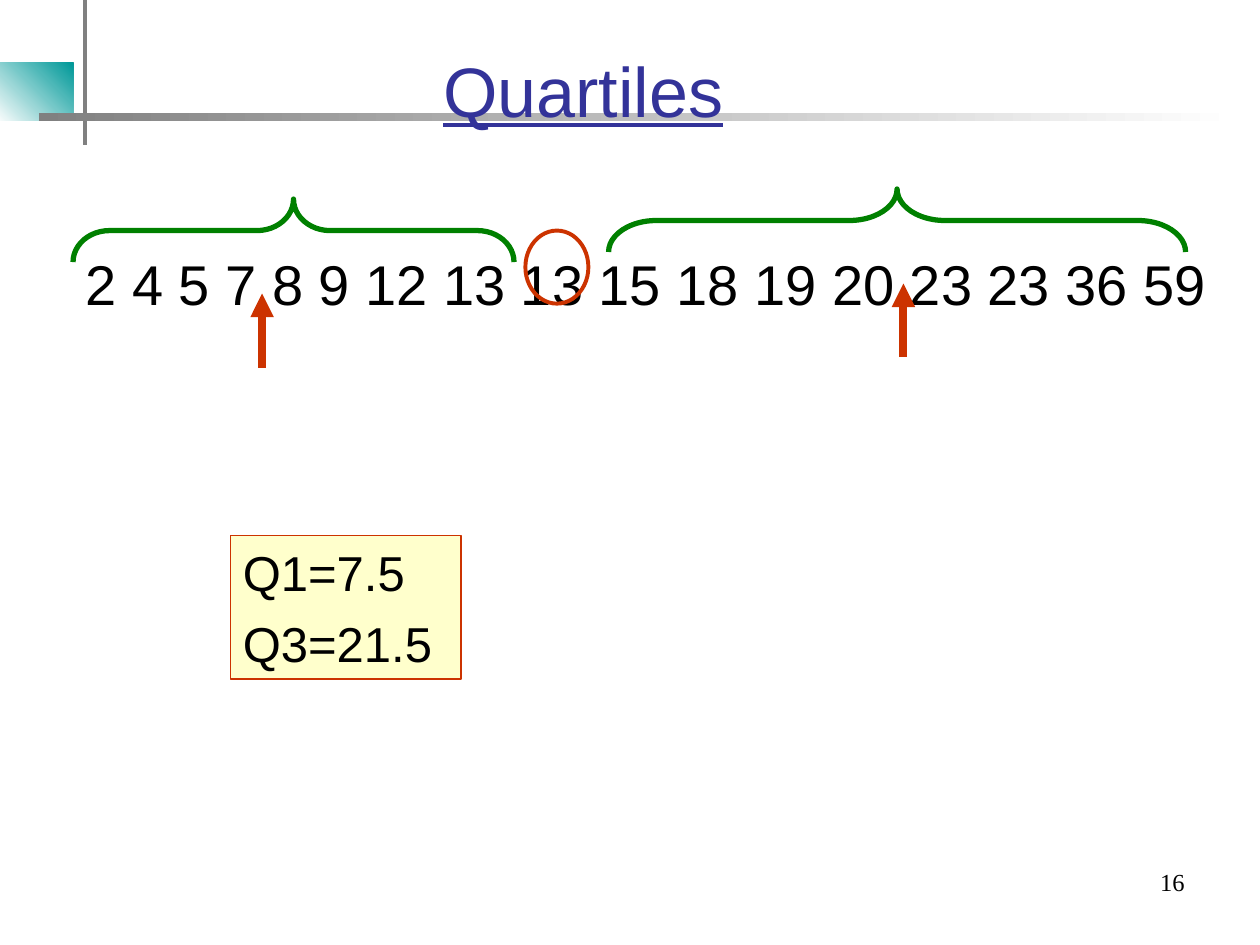
from dataclasses import dataclass

from lxml import etree
from pptx import Presentation
from pptx.dml.color import RGBColor
from pptx.enum.shapes import MSO_CONNECTOR, MSO_SHAPE
from pptx.enum.text import MSO_ANCHOR, PP_ALIGN
from pptx.oxml.ns import qn
from pptx.util import Inches, Pt

RECTANGLE = MSO_SHAPE.RECTANGLE
OVAL = MSO_SHAPE.OVAL
BRACE = MSO_SHAPE.RIGHT_BRACE
STRAIGHT = MSO_CONNECTOR.STRAIGHT
LEFT, RIGHT = PP_ALIGN.LEFT, PP_ALIGN.RIGHT
TOP, MIDDLE = MSO_ANCHOR.TOP, MSO_ANCHOR.MIDDLE


@dataclass(frozen=True)
class Theme:
    white: str = "FFFFFF"
    black: str = "000000"
    gray: str = "808080"
    teal: str = "009999"
    indigo: str = "333399"
    red: str = "CC3300"
    green: str = "008000"
    cream: str = "FFFFCC"
    font: str = "Arial"
    number_font: str = "Times New Roman"
    title_size: int = 40
    data_size: int = 32
    result_size: int = 28
    number_size: int = 14


THEME = Theme()


def color(value):
    return RGBColor.from_string(value)


def write(shape, text, size, ink=THEME.black, font=THEME.font, align=LEFT,
          anchor=TOP, underline=False, space_before=0, margin_top=0.05):
    frame = shape.text_frame
    frame.word_wrap = True
    frame.vertical_anchor = anchor
    frame.margin_top = Inches(margin_top)
    frame.text = text
    for paragraph in frame.paragraphs:
        paragraph.alignment = align
        paragraph.space_before = Pt(space_before)
        style = paragraph.runs[0].font
        style.name = font
        style.size = Pt(size)
        style.underline = underline
        style.color.rgb = color(ink)


def add_text(slide, box, text, size, **style):
    shape = slide.shapes.add_textbox(*map(Inches, box))
    write(shape, text, size, **style)


def add_shape(slide, kind, box, fill=None, line=None, width=1):
    shape = slide.shapes.add_shape(kind, *map(Inches, box))
    shape.shadow.inherit = False
    if fill:
        shape.fill.solid()
        shape.fill.fore_color.rgb = color(fill)
    else:
        shape.fill.background()
    if line:
        shape.line.color.rgb = color(line)
        shape.line.width = Pt(width)
    else:
        shape.line.fill.background()
    return shape


def add_gradient(slide, box, start, end, angle):
    fill = add_shape(slide, RECTANGLE, box).fill
    fill.gradient()
    fill.gradient_angle = angle
    for stop, position, value in zip(fill.gradient_stops, (0, 1), (start, end)):
        stop.position = position
        stop.color.rgb = color(value)


def add_brace(slide, box, curve):
    left, top, width, height = box
    upright = (left + (width - height) / 2, top + (height - width) / 2, height, width)
    brace = add_shape(slide, BRACE, upright, line=THEME.green, width=3)
    brace.rotation = 270
    brace.adjustments[0] = curve
    brace.adjustments[1] = 0.5


def add_up_arrow(slide, x, top, length):
    arrow = slide.shapes.add_connector(
        STRAIGHT, Inches(x), Inches(top + length), Inches(x), Inches(top))
    arrow.line.color.rgb = color(THEME.red)
    arrow.line.width = Pt(4.5)
    properties = arrow.element.spPr
    etree.SubElement(properties.find(qn("a:ln")), qn("a:tailEnd"), type="triangle")
    etree.SubElement(properties, qn("a:effectLst"))


def draw_header(slide, box):
    left, top, width, height = box
    add_gradient(slide, (left, top + 0.5, 0.61, 0.46), THEME.white, THEME.teal, 45)
    add_shape(slide, RECTANGLE, (left + 0.69, top, 0.03, height), fill=THEME.gray)
    add_gradient(slide, (left + 0.34, top + 0.9, width - 0.34, 0.06),
                 THEME.gray, THEME.white, 0)
    add_text(slide, (left + 3.45, top + 0.17, 3.58, 1.08), "Quartiles",
             THEME.title_size, ink=THEME.indigo, anchor=MIDDLE, underline=True)


def draw_data(slide, box):
    left, top, width, height = box
    add_text(slide, box, "2 4 5 7 8 9 12 13 13 15 18 19 20 23 23 36 59",
             THEME.data_size, margin_top=0.73)
    add_shape(slide, OVAL, (left + 3.59, top + 0.58, 0.5, 0.58),
              line=THEME.red, width=2.25)
    add_brace(slide, (left, top + 0.33, 3.5, 0.5), 0.58)
    add_brace(slide, (left + 4.25, top + 0.25, 4.58, 0.5), 0.76)
    add_up_arrow(slide, left + 1.5, top + 1.08, 0.59)
    add_up_arrow(slide, left + 6.59, top + 1, 0.58)


def draw_results(slide, box):
    panel = add_shape(slide, RECTANGLE, box, fill=THEME.cream, line=THEME.red)
    write(panel, "Q1=7.5\nQ3=21.5", THEME.result_size, anchor=MIDDLE, space_before=7)


def draw_slide_number(slide, box):
    add_text(slide, box, "16", THEME.number_size, font=THEME.number_font, align=RIGHT)


def main():
    presentation = Presentation()
    presentation.slide_width = Inches(10)
    presentation.slide_height = Inches(7.5)
    slide = presentation.slides.add_slide(presentation.slide_layouts[6])
    draw_header(slide, (-0.03, 0, 9.85, 1.15))
    draw_data(slide, (0.58, 1.25, 9.25, 5.42))
    draw_results(slide, (1.83, 4.25, 1.83, 1.14))
    draw_slide_number(slide, (7.17, 6.83, 2.33, 0.52))
    presentation.save("out.pptx")


if __name__ == "__main__":
    main()
